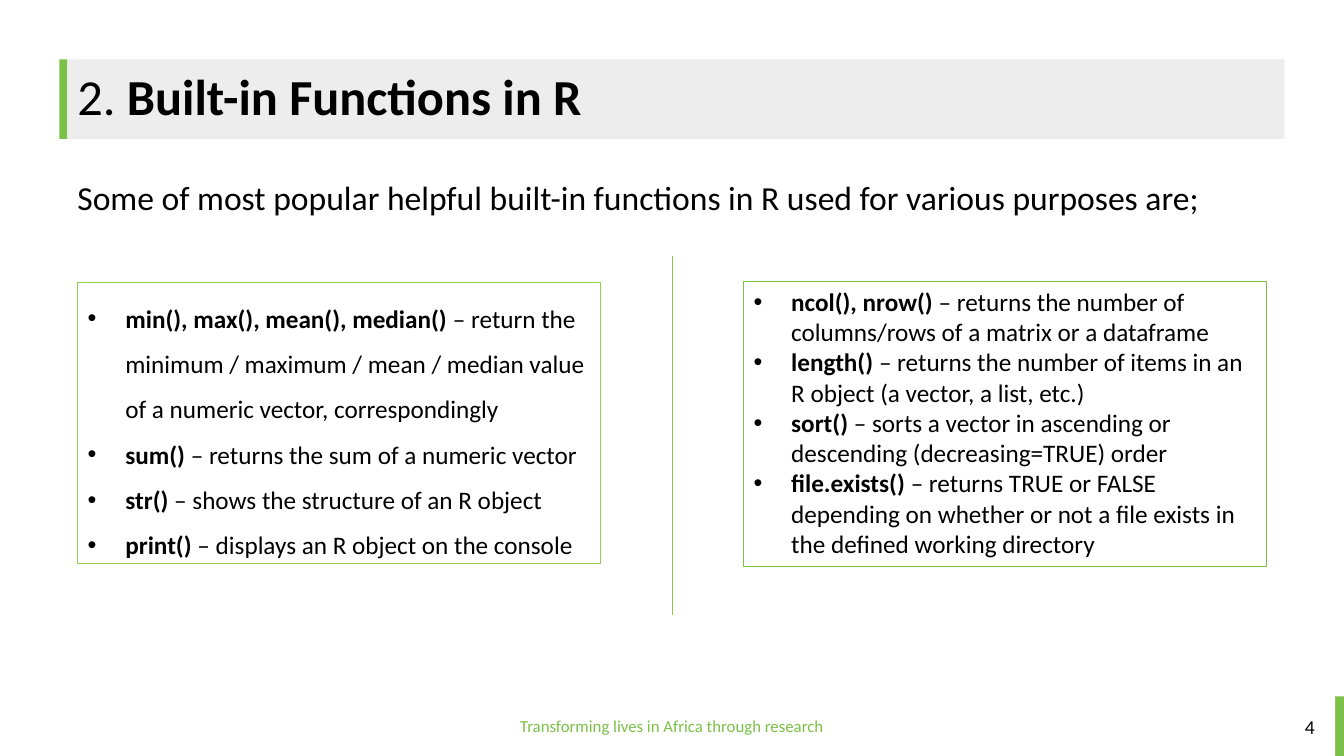
"""Build the slide on built-in functions in R."""
import pptx
import pptx.util
import pptx.dml.color
import pptx.enum.shapes
import pptx.enum.text
import pptx.oxml
import pptx.oxml.ns

Cm, Pt = pptx.util.Cm, pptx.util.Pt
RGB = pptx.dml.color.RGBColor.from_string
ALIGN, ANCHOR = pptx.enum.text.PP_ALIGN, pptx.enum.text.MSO_ANCHOR
THEME = {
    "font": "Calibri", "text": "000000", "green": "7BC148", "lime": "92D050",
    "divider": "91C346", "band": "EDEDEE", "white": "FFFFFF",
    "title": 36, "lead": 24, "list": 18, "number": 14, "footer": 12,
}

prs = pptx.Presentation()
prs.slide_width, prs.slide_height = Cm(33.87), Cm(19.05)
s = prs.slides.add_slide(prs.slide_layouts[6])


def add_box(at, fill=None, line=None, anchor=ANCHOR.TOP):
    """Add a rectangle with optional fill and outline colours."""
    sp = s.shapes.add_shape(pptx.enum.shapes.MSO_SHAPE.RECTANGLE, *map(Cm, at))
    sp.shadow.inherit = False
    if fill:
        sp.fill.solid()
        sp.fill.fore_color.rgb = RGB(THEME[fill])
    else:
        sp.fill.background()
    if line:
        sp.line.color.rgb = RGB(THEME[line])
        sp.line.width = Pt(0.75)
    else:
        sp.line.fill.background()
    sp.text_frame.word_wrap = True
    sp.text_frame.vertical_anchor = anchor
    return sp


def write(p, runs, size, color="text", **layout):
    """Fill a paragraph with (text, bold) runs."""
    for name, value in {"alignment": ALIGN.LEFT, **layout}.items():
        setattr(p, name, value)
    for text, bold in runs:
        r = p.add_run()
        r.text = text
        for name, value in {"name": THEME["font"], "size": Pt(THEME[size]), "bold": bold}.items():
            setattr(r.font, name, value)
        r.font.color.rgb = RGB(THEME[color])


for accent in [(33.65, 17.55, 0.22, 1.5), (1.5, 1.5, 0.2, 2)]:
    add_box(accent, "green")

bars = [
    ((1.7, 1.5, 30.67, 2), "band", ANCHOR.MIDDLE,
     [("2. ", False), ("Built-in Functions in R", True)],
     "title", "text", {"line_spacing": 0.9}),
    ((1.7, 4.45, 30.9, 2), None, ANCHOR.TOP,
     [("Some of most popular helpful built-in functions in R used for various purposes are;", False)],
     "lead", "text", {"line_spacing": 0.9}),
    ((12.11, 17.55, 9.65, 1.5), "white", ANCHOR.MIDDLE,
     [("Transforming lives in Africa through research", False)],
     "footer", "green", {"alignment": ALIGN.CENTER}),
    ((32.37, 17.55, 1.28, 1.5), "white", ANCHOR.MIDDLE,
     [("4", False)], "number", "text", {"alignment": ALIGN.CENTER}),
]
for at, fill, anchor, runs, size, color, layout in bars:
    sp = add_box(at, fill, anchor=anchor)
    write(sp.text_frame.paragraphs[0], runs, size, color, **layout)

columns = [
    ((18.74, 7.09, 13.17, 7.18), "green", 1.0, [
        ("ncol(), nrow() ", "– returns the number of columns/rows of a matrix or a dataframe"),
        ("length() ", "– returns the number of items in an R object (a vector, a list, etc.)"),
        ("sort() ", "– sorts a vector in ascending or descending (decreasing=TRUE) order"),
        ("file.exists() ", "– returns TRUE or FALSE depending on whether or not "
                           "a file exists in the defined working directory"),
    ]),
    ((1.96, 7.13, 13.17, 7.06), "lime", 1.5, [
        ("min(), max(), mean(), median() ",
         "– return the minimum / maximum / mean / median value of a numeric vector, correspondingly"),
        ("sum() ", "– returns the sum of a numeric vector"),
        ("str() ", "– shows the structure of an R object"),
        ("print() ", "– displays an R object on the console"),
    ]),
]
for at, line, spacing, functions in columns:
    tf = add_box(at, line=line).text_frame
    for i, (name, purpose) in enumerate(functions):
        p = tf.add_paragraph() if i else tf.paragraphs[0]
        pPr = p._p.get_or_add_pPr()
        pPr.set("marL", str(Cm(0.95)))
        pPr.set("indent", str(-Cm(0.95)))
        for tag, key, value in [("a:buFont", "typeface", "Arial"), ("a:buChar", "char", "•")]:
            bullet = pptx.oxml.parse_xml(f"<{tag} {pptx.oxml.ns.nsdecls('a')}/>")
            bullet.set(key, value)
            pPr.append(bullet)
        write(p, [(name, True), (purpose, False)], "list", line_spacing=spacing)

divider = s.shapes.add_connector(
    pptx.enum.shapes.MSO_CONNECTOR.STRAIGHT, Cm(16.94), Cm(6.45), Cm(16.94), Cm(15.49))
divider.line.color.rgb = RGB(THEME["divider"])
divider.line.width = Pt(0.5)
divider._element.spPr.append(
    pptx.oxml.parse_xml(f"<a:effectLst {pptx.oxml.ns.nsdecls('a')}/>"))

prs.save("out.pptx")
